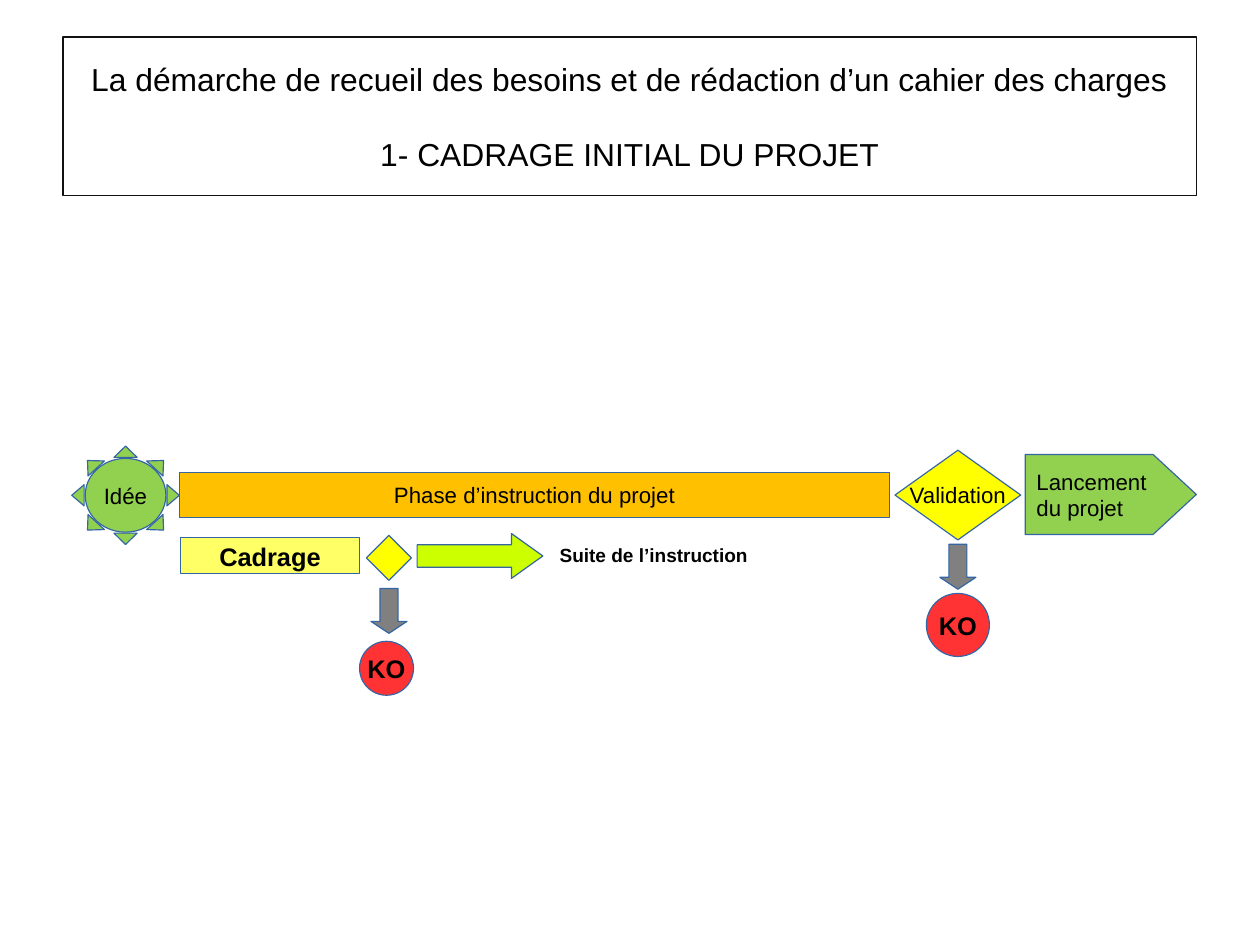
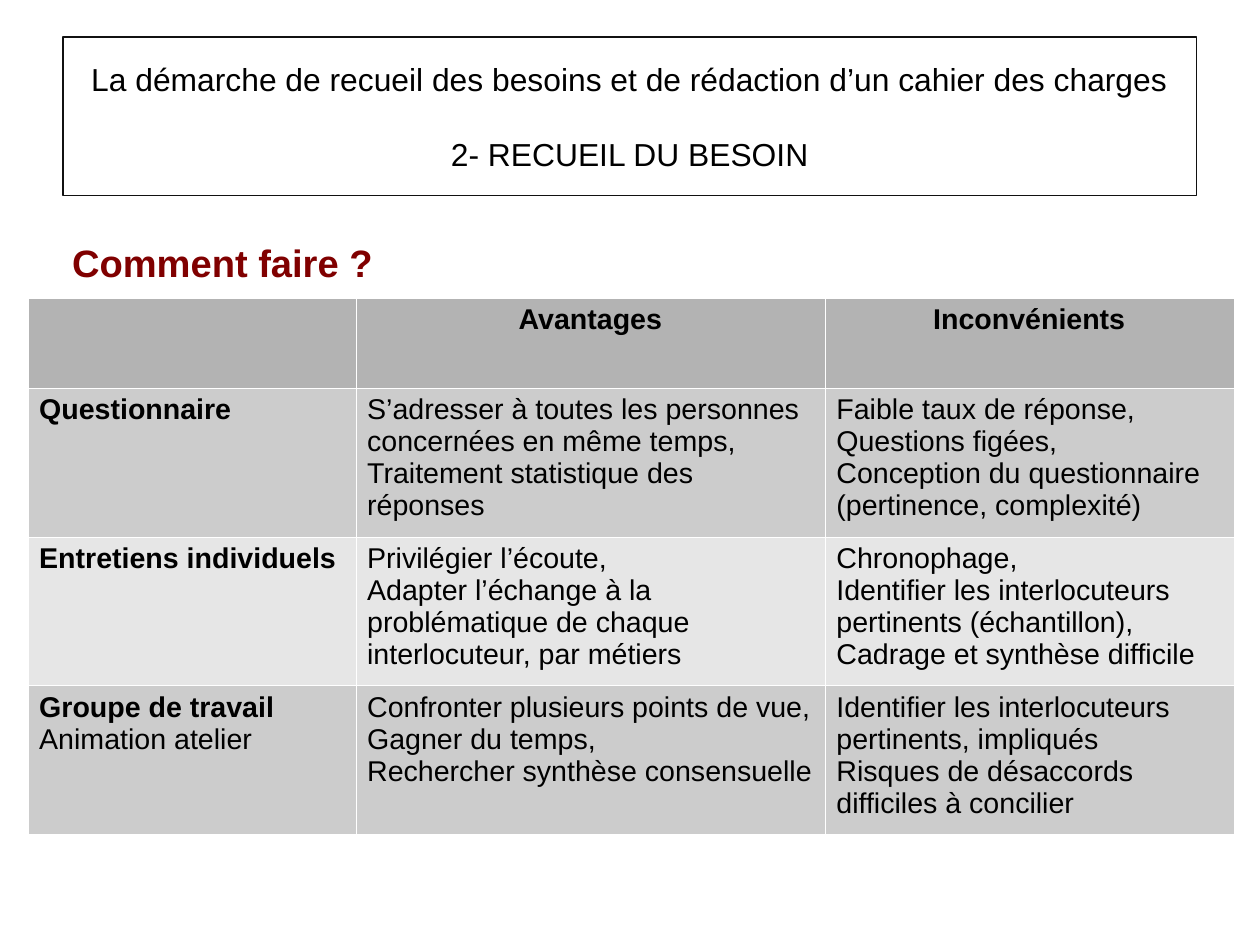
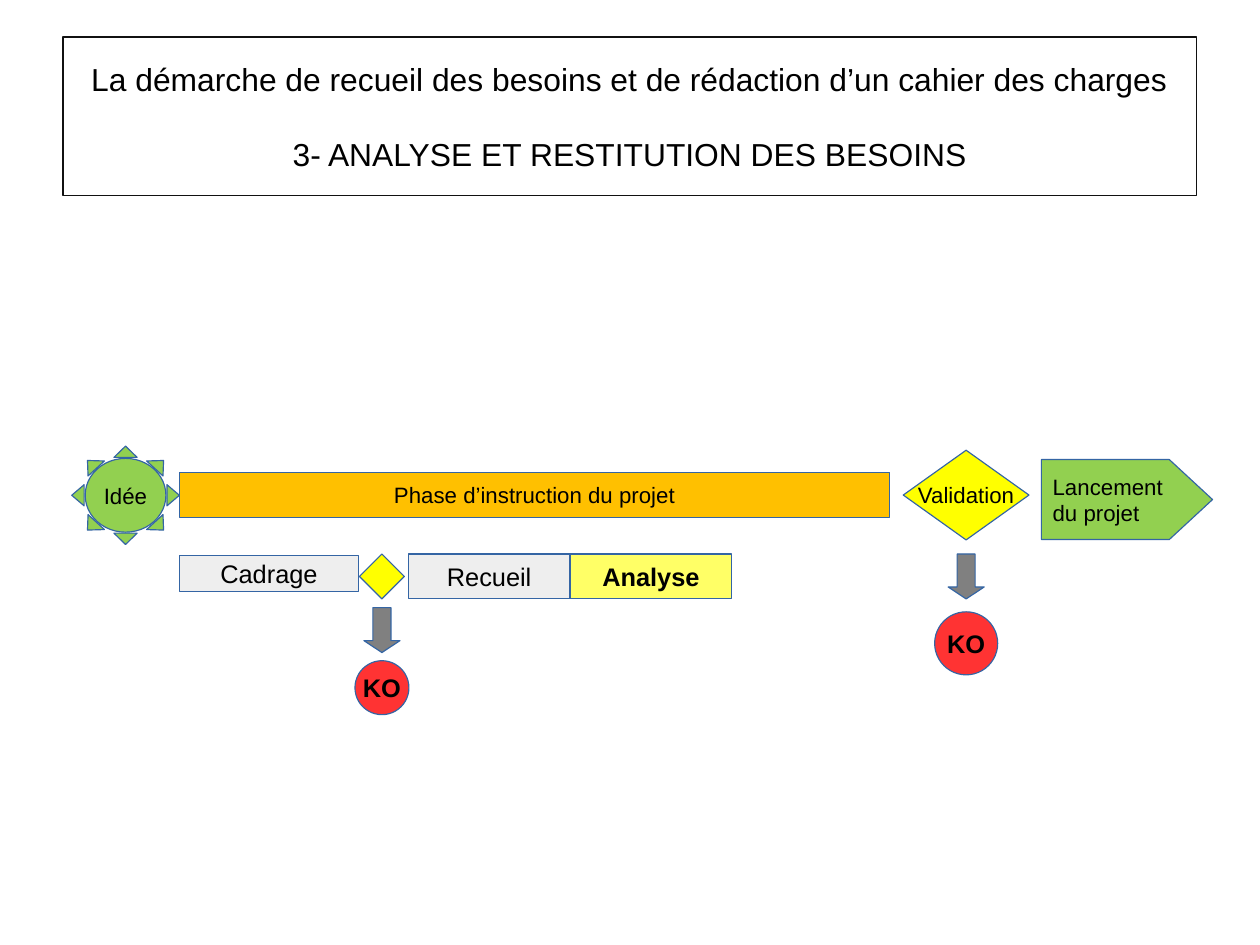
from pptx import Presentation
from pptx.dml.color import RGBColor
from pptx.enum.shapes import MSO_SHAPE as Kind
from pptx.enum.text import MSO_ANCHOR as Anchor, PP_ALIGN as Align
from pptx.oxml import parse_xml
from pptx.oxml.ns import nsdecls
from pptx.util import Pt

# Palette
BLACK, EDGE, FRAME, MAROON = "000000", "3465A4", "111111", "800000"
GREEN, LIME, AMBER, YELLOW = "92D050", "CCFF00", "FFC000", "FFFF00"
PALE, MIST, GREY, RED = "FFFF66", "EEEEEE", "808080", "FF3333"
HEAD, BANDS, RULE = "B3B3B3", ("CCCCCC", "E6E6E6"), "FFFFFF"

TOPIC = "La démarche de recueil des besoins et de rédaction d’un cahier des charges"
MARGIN = (7.2, 3.6)


def tint(code):
    return RGBColor.from_string(code)


def write(frame, text, size=14, color=BLACK, bold=False, align=Align.CENTER,
          gap=0, anchor=Anchor.MIDDLE, inset=MARGIN, wrap=True):
    """One paragraph per line; bold marks the first line, gap parts the lines."""
    frame.word_wrap = wrap
    frame.vertical_anchor = anchor
    frame.margin_left = frame.margin_right = Pt(inset[0])
    frame.margin_top = frame.margin_bottom = Pt(inset[1])
    for n, line in enumerate(text.split("\n")):
        para = frame.add_paragraph() if n else frame.paragraphs[0]
        para.alignment = align
        para.space_before = Pt(gap if n else 0)
        run = para.add_run()
        run.text = line
        font = run.font
        font.name, font.size = "Arial", Pt(size)
        font.bold = bold and n == 0
        font.color.rgb = tint(color)


class Deck:
    def __init__(self):
        self.show = Presentation()
        self.show.slide_width, self.show.slide_height = Pt(793.7), Pt(595.28)
        self.slide = None

    def page(self, name):
        """New slide with the framed title."""
        self.slide = self.show.slides.add_slide(self.show.slide_layouts[6])
        self.shape(Kind.RECTANGLE, 39.7, 23.3, 714, 100, None, f"{TOPIC}\n{name}",
                   line=FRAME, width=1, size=20, gap=23, inset=(1, 1), wrap=True)

    def shape(self, kind, x, y, w, h, fill, text="", line=EDGE, width=0.75,
              adjust=(), wrap=False, **style):
        item = self.slide.shapes.add_shape(kind, Pt(x), Pt(y), Pt(w), Pt(h))
        item.shadow.inherit = False
        for n, value in enumerate(adjust):
            item.adjustments[n] = value
        if fill:
            item.fill.solid()
            item.fill.fore_color.rgb = tint(fill)
        else:
            item.fill.background()
        item.line.color.rgb = tint(line)
        item.line.width = Pt(width)
        if text:
            write(item.text_frame, text, wrap=wrap, **style)

    def label(self, x, y, w, h, text, **style):
        box = self.slide.shapes.add_textbox(Pt(x), Pt(y), Pt(w), Pt(h))
        write(box.text_frame, text, align=Align.LEFT, **style)

    def step(self, x, y, w, h, text, now=False):
        """Stage of the project; the current one is bold on yellow."""
        self.shape(Kind.RECTANGLE, x, y, w, h, PALE if now else MIST, text,
                   size=16, bold=now)

    def gate(self, mid, y, w, h, text=""):
        self.shape(Kind.DIAMOND, mid - w / 2, y, w, h, YELLOW, text)

    def reject(self, mid, y, drop, size, shift=0):
        """Grey arrow at y, with a red KO disc starting drop below it."""
        self.shape(Kind.DOWN_ARROW, mid - 11.35, y, 22.7, 28.3, GREY,
                   adjust=(0.5, 0.33))
        self.shape(Kind.OVAL, mid + shift - size / 2, y + drop, size, size, RED,
                   "KO", size=16, bold=True)

    def flow(self, mid, launch, y, drop):
        """Top row from idea to launch, with the final gate centred on mid."""
        self.shape(Kind.SUN, 45.2, 281, 67.8, 62, GREEN, "Idée", adjust=(0.125,))
        self.shape(Kind.RECTANGLE, 113, 297.6, 447.6, 28.2, AMBER,
                   "Phase d’instruction du projet")
        self.gate(mid, 283.6, 79.2, 56.5, "Validation")
        self.shape(Kind.PENTAGON, *launch, 107.8, 50.4, GREEN,
                   "Lancement\ndu projet", adjust=(0.54,), align=Align.LEFT,
                   wrap=True)
        self.reject(mid, y, drop, 39.7)

    def table(self, x, y, cols, rows, data):
        grid = self.slide.shapes.add_table(
            len(rows), len(cols), Pt(x), Pt(y), Pt(sum(cols)), Pt(sum(rows))).table
        for col, w in zip(grid.columns, cols):
            col.width = Pt(w)
        for r, (row, h) in enumerate(zip(grid.rows, rows)):
            row.height = Pt(h)
            for c, (cell, text) in enumerate(zip(row.cells, data[r])):
                if text:
                    write(cell.text_frame, text, size=18, bold=r == 0 or c == 0,
                          align=Align.LEFT if r else Align.CENTER)
                cell.vertical_anchor = Anchor.TOP
                cell.margin_left = cell.margin_right = Pt(MARGIN[0])
                cell.margin_top = cell.margin_bottom = Pt(MARGIN[1])
                self.rule(cell)
                cell.fill.solid()
                cell.fill.fore_color.rgb = tint(BANDS[(r - 1) % 2] if r else HEAD)

    def rule(self, cell):
        """Hairline on all four sides of a cell."""
        props = cell._tc.get_or_add_tcPr()
        for side in "LRTB":
            props.append(parse_xml(
                f'<a:ln{side} {nsdecls("a")} w="762"><a:solidFill>'
                f'<a:srgbClr val="{RULE}"/></a:solidFill></a:ln{side}>'))


METHODS = [
    ("", "Avantages", "Inconvénients"),
    ("Questionnaire",
     "S’adresser à toutes les personnes concernées en même temps,\n"
     "Traitement statistique des réponses",
     "Faible taux de réponse,\nQuestions figées,\n"
     "Conception du questionnaire (pertinence, complexité)"),
    ("Entretiens individuels",
     "Privilégier l’écoute,\n"
     "Adapter l’échange à la problématique de chaque interlocuteur, par métiers",
     "Chronophage,\nIdentifier les interlocuteurs pertinents (échantillon),\n"
     "Cadrage et synthèse difficile"),
    ("Groupe de travail\nAnimation atelier",
     "Confronter plusieurs points de vue,\nGagner du temps,\n"
     "Rechercher synthèse consensuelle",
     "Identifier les interlocuteurs pertinents, impliqués\n"
     "Risques de désaccords difficiles à concilier"),
]


def main():
    deck = Deck()

    # Initial framing
    deck.page("1- CADRAGE INITIAL DU PROJET")
    deck.flow(603.4, (645.8, 286.3), 342.9, 30.9)
    deck.step(113.6, 338.8, 113, 22.7, "Cadrage", now=True)
    deck.gate(245, 337.3, 28.3, 28.3)
    deck.reject(245, 370.7, 33.3, 34, shift=-1.5)
    deck.shape(Kind.RIGHT_ARROW, 262.8, 336.1, 79.2, 28.3, LIME, adjust=(0.5, 0.7))
    deck.label(345.4, 339.1, 171, 34, "Suite de l’instruction", size=12, bold=True,
               anchor=Anchor.TOP)

    # Collecting needs
    deck.page("2- RECUEIL DU BESOIN")
    deck.label(45.4, 151.5, 742, 27.6, "Comment faire ?", size=24, color=MAROON,
               bold=True, inset=(0, 0))
    deck.table(17.5, 187.9, (206.6, 295.6, 257.4), (56.7,) + (87.7,) * 3, METHODS)

    # Analysis
    deck.page("3- ANALYSE ET RESTITUTION DES BESOINS")
    deck.flow(608.6, (656, 289.5), 349, 36.4)
    deck.step(113, 350, 113, 22.7, "Cadrage")
    deck.gate(240.6, 349, 28.3, 28.3)
    deck.reject(240.6, 382.8, 33.4, 34)
    deck.step(257.2, 349, 101.9, 27.8, "Recueil")
    deck.step(359.1, 349, 101.9, 27.8, "Analyse", now=True)

    deck.show.save("out.pptx")


if __name__ == "__main__":
    main()
